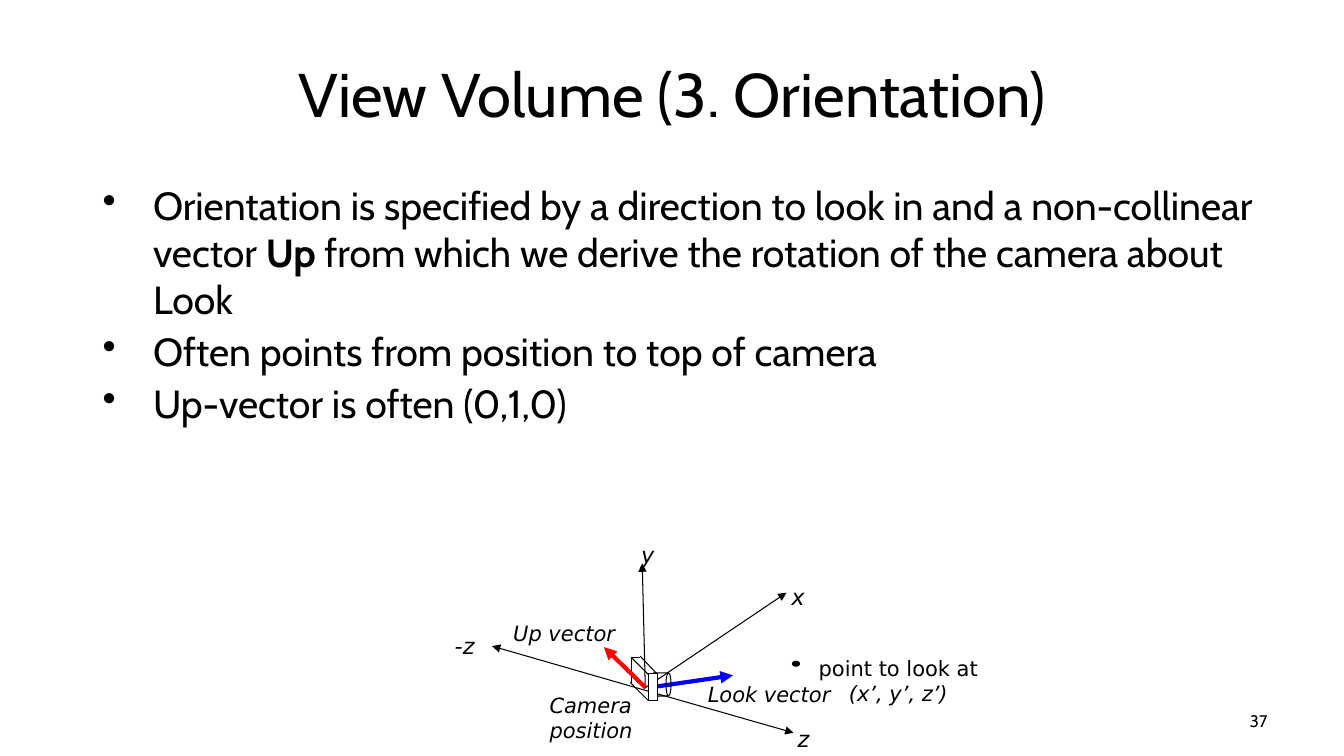
from pptx import Presentation
from pptx.dml.color import RGBColor
from pptx.enum import shapes, text
from pptx.oxml import ns, xmlchemy
from pptx.util import Inches, Pt


def color(value):
    return RGBColor.from_string(value)


class SlideBuilder:
    ink = "000000"
    heading_font = "Cabin"
    label_font = "DejaVu Sans"

    def __init__(self, slide):
        self.slide = slide

    def add_run(self, paragraph, words, size, font, bold=False, italic=False):
        run = paragraph.add_run()
        run.text = words
        run.font.name = font
        run.font.size = Pt(size)
        run.font.bold = bold
        run.font.italic = italic
        run.font.color.rgb = color(self.ink)

    def frame(self, box, margins=(0.1, 0.05), anchor=text.MSO_ANCHOR.TOP):
        frame = self.slide.shapes.add_textbox(*map(Inches, box)).text_frame
        frame.word_wrap = True
        frame.vertical_anchor = anchor
        frame.margin_left = frame.margin_right = Inches(margins[0])
        frame.margin_top = frame.margin_bottom = Inches(margins[1])
        return frame

    def heading(self, words, box, size, align):
        paragraph = self.frame(box, anchor=text.MSO_ANCHOR.MIDDLE).paragraphs[0]
        paragraph.alignment = align
        self.add_run(paragraph, words, size, self.heading_font)

    def bullets(self, points, box, size):
        frame = self.frame(box)
        for index, point in enumerate(points):
            paragraph = frame.add_paragraph() if index else frame.paragraphs[0]
            properties = paragraph._p.get_or_add_pPr()
            properties.set("marL", str(Inches(0.75)))
            properties.set("indent", str(Inches(-0.5)))
            if index:
                paragraph.space_before = Pt(3.6)
            bullet = xmlchemy.OxmlElement("a:buChar")
            bullet.set("char", "•")
            properties.append(bullet)
            for words, bold in point:
                self.add_run(paragraph, words, size, self.heading_font, bold)

    def label(self, runs, box, size=15, align=text.PP_ALIGN.LEFT):
        paragraph = self.frame(box, (0.05, 0.05)).paragraphs[0]
        paragraph.alignment = align
        for words, italic in runs:
            self.add_run(paragraph, words, size, self.label_font, italic=italic)

    def line(self, start, end, stroke=ink, width=0.75, arrow=False):
        connector = self.slide.shapes.add_connector(
            shapes.MSO_CONNECTOR.STRAIGHT, *map(Inches, (*start, *end)))
        connector.line.color.rgb = color(stroke)
        connector.line.width = Pt(width)
        if arrow:
            tail = xmlchemy.OxmlElement("a:tailEnd")
            tail.set("type", "triangle")
            connector.line._get_or_add_ln().append(tail)
        properties = connector._element.find(ns.qn("p:spPr"))
        properties.append(xmlchemy.OxmlElement("a:effectLst"))

    def shape(self, kind, box, fill=None, rotation=0):
        shape = self.slide.shapes.add_shape(kind, *map(Inches, box))
        shape.shadow.inherit = False
        shape.rotation = rotation
        if fill:
            shape.fill.solid()
            shape.fill.fore_color.rgb = color(fill)
        else:
            shape.fill.background()
        shape.line.color.rgb = color(self.ink)
        shape.line.width = Pt(0.75)


def main():
    deck = Presentation()
    deck.slide_width, deck.slide_height = Inches(13.33), Inches(7.5)
    page = SlideBuilder(deck.slides.add_slide(deck.slide_layouts[6]))

    page.heading("View Volume (3. Orientation)", (0.67, 0.3, 12, 1.25), 44,
                 text.PP_ALIGN.CENTER)
    page.bullets([
        [("Orientation is specified by a direction to look in and a "
          "non-collinear vector ", False), ("Up", True),
         (" from which we derive the rotation of the camera about Look", False)],
        [("Often points from position to top of camera", False)],
        [("Up-vector is often (0,1,0)", False)],
    ], (0.67, 1.75, 12, 4.95), 28)
    page.heading("37", (9.56, 6.95, 3.11, 0.4), 12, text.PP_ALIGN.RIGHT)

    page.line((6.45, 6.82), (7.27, 6.7), "0000FF", 3, arrow=True)
    page.label([("point to look at ", False), ("(x’, y’, z’)", True)],
               (7.95, 6.45, 1.92, 0.6), align=text.PP_ALIGN.CENTER)
    page.shape(shapes.MSO_SHAPE.OVAL, (7.86, 6.56, 0.07, 0.05), page.ink)

    for words, box in [
        ("Look vector", (6.97, 6.71, 1.63, 0.35)),
        ("Camera position", (5.4, 6.82, 1.08, 0.61)),
        ("Up vector", (5.04, 6.11, 1.33, 0.35)),
    ]:
        page.label([(words, True)], box)

    for axis, left, top, width in [
        ("-z", 4.46, 6.22, 0.49),
        ("z", 7.86, 7.14, 0.32),
        ("y", 6.31, 5.32, 0.32),
        ("x", 7.8, 5.74, 0.32),
    ]:
        page.label([(axis, True)], (left, top, width, 0.36), 16)

    for start, tip in [
        ((6.39, 6.83), (7.8, 5.88)),
        ((6.37, 6.84), (7.87, 7.27)),
        ((6.4, 6.82), (6.37, 5.59)),
        ((6.37, 6.84), (4.88, 6.41)),
    ]:
        page.line(start, tip, arrow=True)

    for start, end in [
        ((6.26, 6.52), (6.26, 6.78)),
        ((6.26, 6.52), (6.35, 6.52)),
        ((6.42, 6.68), (6.52, 6.68)),
        ((6.26, 6.52), (6.43, 6.69)),
        ((6.35, 6.51), (6.52, 6.69)),
        ((6.25, 6.77), (6.43, 6.95)),
    ]:
        page.line(start, end)

    page.shape(shapes.MSO_SHAPE.CAN, (6.44, 6.69, 0.23, 0.2), rotation=90)
    page.shape(shapes.MSO_SHAPE.RECTANGLE, (6.43, 6.68, 0.09, 0.27), "FFFFFF")
    page.line((6.4, 6.82), (5.99, 6.42), "FF0000", 3, arrow=True)

    deck.save("out.pptx")


if __name__ == "__main__":
    main()
